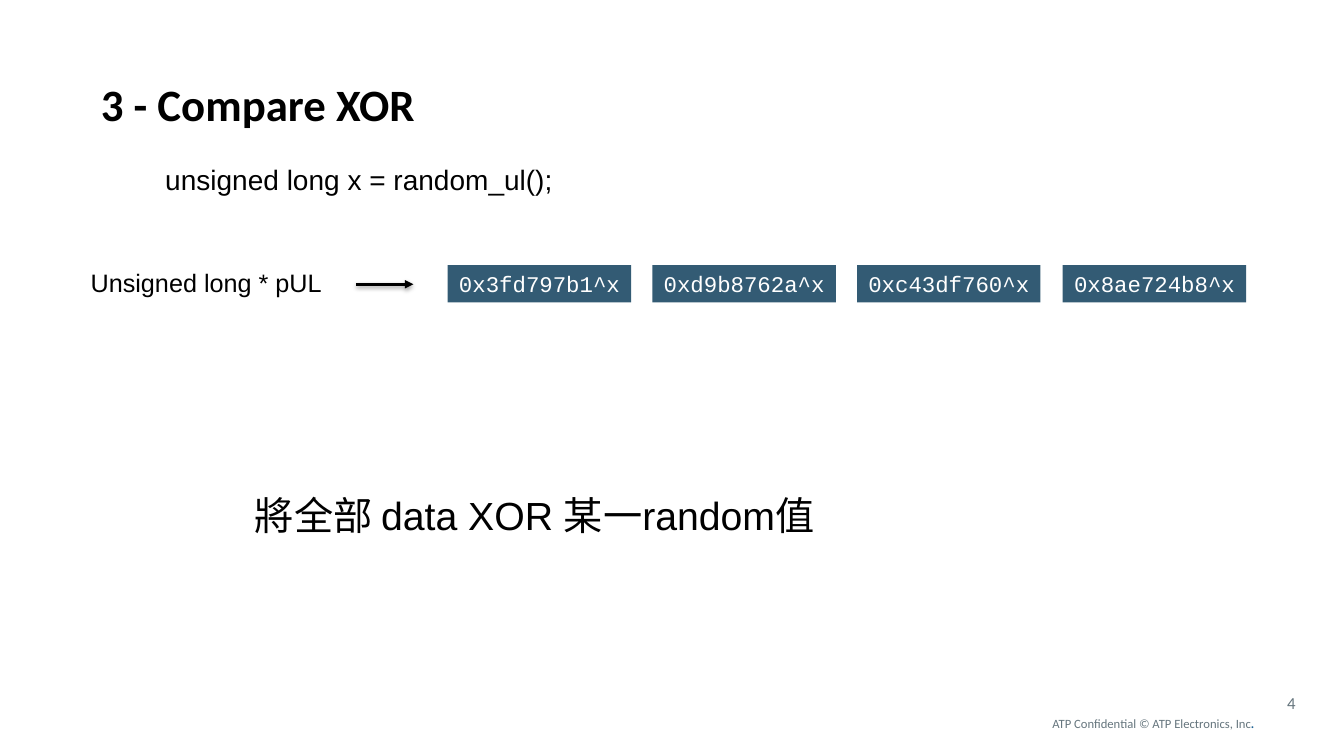
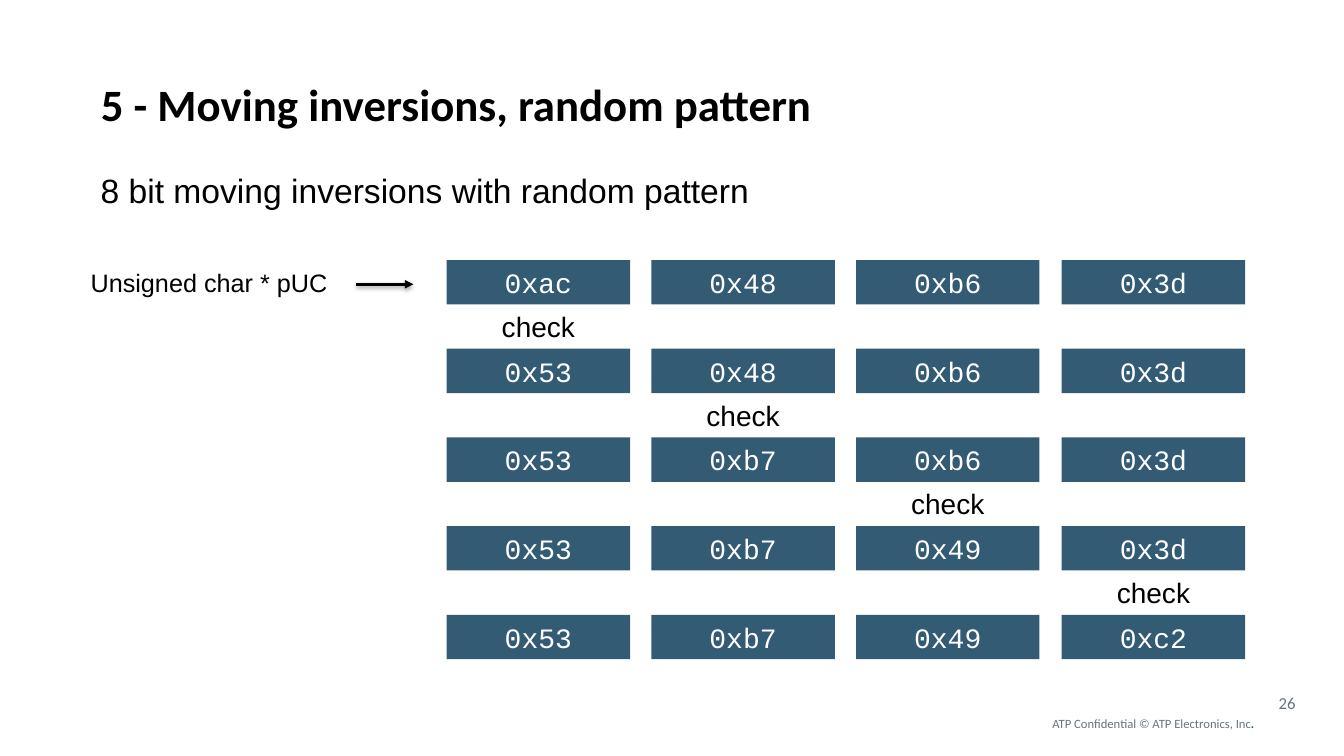
from lxml import etree
from pptx import Presentation
from pptx.dml.color import RGBColor
from pptx.enum.shapes import MSO_CONNECTOR, MSO_SHAPE
from pptx.enum.text import MSO_ANCHOR, MSO_AUTO_SIZE, PP_ALIGN
from pptx.oxml import parse_xml
from pptx.oxml.ns import nsdecls, qn
from pptx.util import Pt

LEFT, CENTER, RIGHT = PP_ALIGN.LEFT, PP_ALIGN.CENTER, PP_ALIGN.RIGHT
TOP, MIDDLE = MSO_ANCHOR.TOP, MSO_ANCHOR.MIDDLE
BLACK = RGBColor(0x00, 0x00, 0x00)
WHITE = RGBColor(0xFF, 0xFF, 0xFF)
CELL_BLUE = RGBColor(0x33, 0x5B, 0x74)
FOOTER_GRAY = RGBColor(0x65, 0x75, 0x7D)
FOOTER_BLUE = RGBColor(0x1D, 0x62, 0x94)
HEADING_FONT, BODY_FONT, CODE_FONT = "Calibri", "Arial", "Courier New"

PX = 9144  # EMU per px, 100 px to the inch
TITLE_ONLY = 5
CELL_WIDTH = 182
GRID_SPAN = 610  # left edge of the first cell to left edge of the last
ROW_STEP = 88

COMPARE = {
    "title": "3 - Compare XOR",
    "number": "4",
    "pointer": "Unsigned long * pUL",
    "notes": [
        ("unsigned long x = random_ul();", (154, 156, 419, 44), 20),
        ("將全部 data XOR 某一random值", (243, 483, 859, 57), 28),
    ],
}
XOR_WORDS = ["0x3fd797b1^x", "0xd9b8762a^x", "0xc43df760^x", "0x8ae724b8^x"]

INVERSIONS = {
    "title": "5 - Moving inversions, random pattern",
    "number": "26",
    "pointer": "Unsigned char * pUC",
    "notes": [
        ("8 bit moving inversions with random pattern", (90, 164, 808, 50), 24),
    ],
}
PATTERN = [0xAC, 0x48, 0xB6, 0x3D]

SHADOW = (
    f'<a:effectLst {nsdecls("a")}>'
    '<a:outerShdw blurRad="40000" dist="20000" dir="5400000" rotWithShape="0">'
    '<a:srgbClr val="000000"><a:alpha val="38000"/></a:srgbClr>'
    "</a:outerShdw></a:effectLst>"
)


def px(*lengths):
    return [length * PX for length in lengths]


def add_span(para, text, size, font, color, bold=False):
    span = para.add_run()
    span.text = text
    span.font.size = Pt(size)
    span.font.name = font
    span.font.color.rgb = color
    span.font.bold = bold


def prepare_frame(shape, align=LEFT, anchor=TOP):
    """Set wrapping and alignment, and return the first paragraph."""
    frame = shape.text_frame
    frame.word_wrap = True
    frame.auto_size = MSO_AUTO_SIZE.NONE
    frame.vertical_anchor = anchor
    para = frame.paragraphs[0]
    para.alignment = align
    return para


def add_text(slide, text, area, size, font=BODY_FONT, color=BLACK,
             align=LEFT, anchor=TOP):
    box = slide.shapes.add_textbox(*px(*area))
    para = prepare_frame(box, align, anchor)
    add_span(para, text, size, font, color)
    return para


def add_cell(slide, text, area, size):
    cell = slide.shapes.add_shape(MSO_SHAPE.RECTANGLE, *px(*area))
    cell.shadow.inherit = False
    cell.fill.solid()
    cell.fill.fore_color.rgb = CELL_BLUE
    cell.line.fill.background()
    add_span(prepare_frame(cell, CENTER, MIDDLE), text, size, CODE_FONT, WHITE)


def column_left(grid_left, column, count):
    return grid_left + column * GRID_SPAN // (count - 1)


def add_row(slide, words, grid_left, top, height, size):
    for column, word in enumerate(words):
        left = column_left(grid_left, column, len(words))
        add_cell(slide, word, (left, top, CELL_WIDTH, height), size)


def add_pointer_arrow(slide):
    arrow = slide.shapes.add_connector(MSO_CONNECTOR.STRAIGHT,
                                       *px(353, 282, 410, 282))
    arrow.line.color.rgb = BLACK
    arrow.line.width = Pt(2)
    properties = arrow._element.spPr
    etree.SubElement(properties.find(qn("a:ln")), qn("a:tailEnd"),
                     type="triangle")
    properties.append(parse_xml(SHADOW))


def add_base_slide(deck, content):
    """Add a slide with title, footer, page number, notes and pointer."""
    slide = deck.slides.add_slide(deck.slide_layouts[TITLE_ONLY])
    title = slide.shapes.title
    title.left, title.top, title.width, title.height = px(90, 71, 1021, 64)
    add_span(prepare_frame(title), content["title"], 32, HEADING_FONT, BLACK,
             bold=True)
    footer = add_text(slide, "ATP Confidential © ATP Electronics, Inc",
                      (1034, 705, 247, 25), 9, HEADING_FONT, FOOTER_GRAY)
    add_span(footer, ".", 9, HEADING_FONT, FOOTER_BLUE, bold=True)
    add_text(slide, content["number"], (1224, 678, 71, 39), 12, HEADING_FONT,
             FOOTER_GRAY, RIGHT, MIDDLE)
    for text, area, size in content["notes"]:
        add_text(slide, text, area, size)
    add_text(slide, content["pointer"], (80, 260, 265, 40), 18)
    add_pointer_arrow(slide)
    return slide


def add_compare_slide(deck):
    slide = add_base_slide(deck, COMPARE)
    add_row(slide, XOR_WORDS, 444, 263, 37, 16)


def add_inversions_slide(deck):
    """Each row inverts one more byte; a check stands above that byte."""
    slide = add_base_slide(deck, INVERSIONS)
    grid_left, grid_top, height = 443, 258, 44
    count = len(PATTERN)
    for step in range(count + 1):
        top = grid_top + step * ROW_STEP
        words = [f"0x{byte ^ 0xFF if column < step else byte:02x}"
                 for column, byte in enumerate(PATTERN)]
        add_row(slide, words, grid_left, top, height, 20)
        if step < count:
            left = column_left(grid_left, step, count)
            add_text(slide, "check", (left, top + height, CELL_WIDTH, height),
                     20, align=CENTER)


def main():
    deck = Presentation()
    deck.slide_width, deck.slide_height = px(1333, 750)
    add_compare_slide(deck)
    add_inversions_slide(deck)
    deck.save("out.pptx")


if __name__ == "__main__":
    main()
